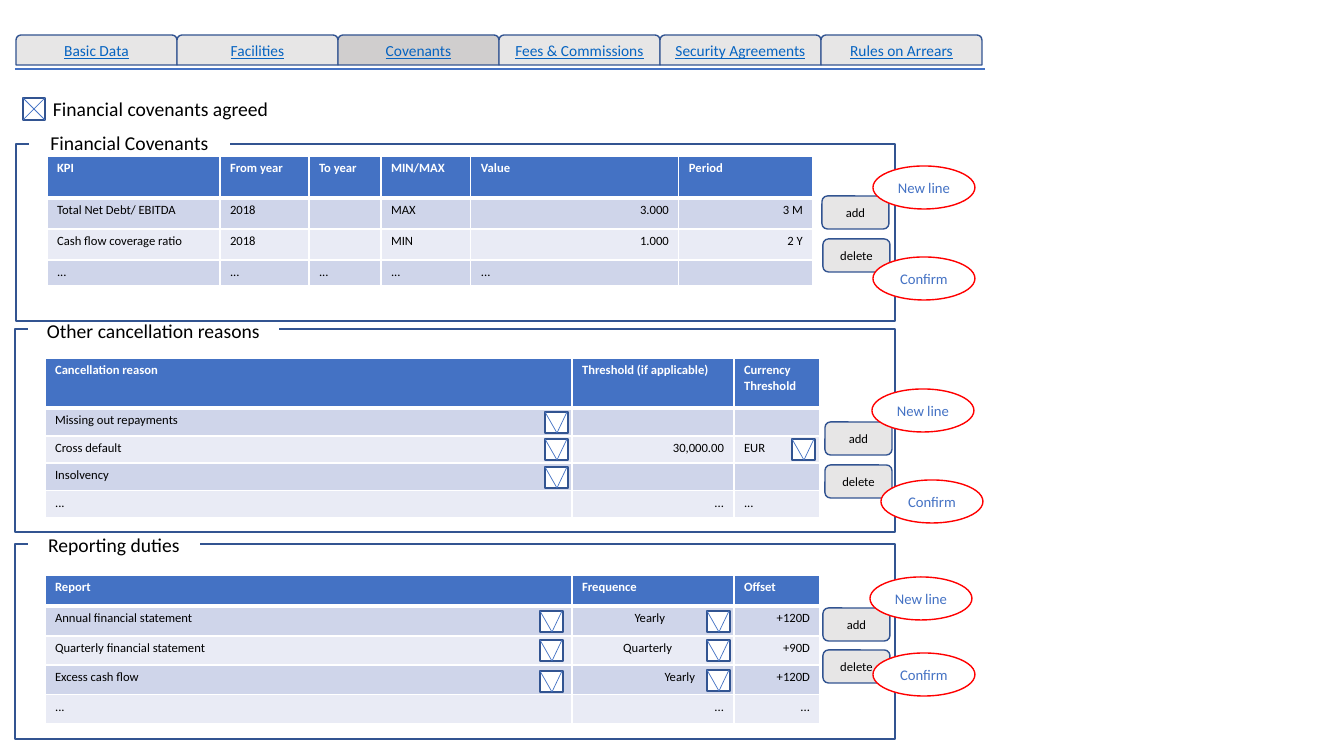
import dataclasses

import lxml.etree
import pptx
import pptx.dml.color
import pptx.enum.shapes
import pptx.enum.text
import pptx.oxml.ns
import pptx.util

PIXEL = 914400 / 100.8
SHAPE = pptx.enum.shapes.MSO_SHAPE
ALIGN = pptx.enum.text.PP_ALIGN
MIDDLE = pptx.enum.text.MSO_ANCHOR.MIDDLE


@dataclasses.dataclass(frozen=True)
class Theme:
    font: str = "Calibri"
    white: str = "FFFFFF"
    black: str = "000000"
    outline: str = "325491"
    accent: str = "4472C4"
    link: str = "0563C1"
    alert: str = "FF0000"
    grey: str = "E7E6E6"
    active: str = "D0CECE"
    bands: tuple = ("CFD5EA", "E9EBF5")
    title: float = 14
    tab: float = 11
    callout: float = 10.5
    small: float = 9


THEME = Theme()


def px(*lengths):
    return [round(length * PIXEL) for length in lengths]


def rgb(color):
    return pptx.dml.color.RGBColor.from_string(color)


def write(frame, text, size, color, align=ALIGN.CENTER, **formats):
    paragraph = frame.paragraphs[0]
    paragraph.alignment = align
    run = paragraph.add_run()
    run.text = text
    run.font.color.rgb = rgb(color)
    formats = {"name": THEME.font, "size": pptx.util.Pt(size), **formats}
    for name, value in formats.items():
        setattr(run.font, name, value)


def draw_shape(slide, kind, box, fill=THEME.white, line=THEME.outline):
    shape = slide.shapes.add_shape(kind, *px(*box))
    shape.shadow.inherit = False
    shape.fill.solid()
    shape.fill.fore_color.rgb = rgb(fill)
    shape.line.color.rgb = rgb(line)
    shape.line.width = pptx.util.Pt(1)
    frame = shape.text_frame
    formats = {"word_wrap": True, "vertical_anchor": MIDDLE, "margin_top": 0, "margin_bottom": 0}
    for name, value in formats.items():
        setattr(frame, name, value)
    return shape


def draw_line(slide, start, end, width):
    connector = slide.shapes.add_connector(
        pptx.enum.shapes.MSO_CONNECTOR.STRAIGHT, *px(*start, *end))
    connector.line.color.rgb = rgb(THEME.accent)
    connector.line.width = pptx.util.Pt(width)
    lxml.etree.SubElement(connector._element.spPr, pptx.oxml.ns.qn("a:effectLst"))


def draw_tabs(slide, box, names, active):
    left, top, width, height = box
    step = width / len(names)
    for index, name in enumerate(names):
        fill = THEME.active if name == active else THEME.grey
        tab = draw_shape(slide, SHAPE.ROUND_2_SAME_RECTANGLE,
                         (left + index * step, top, step, height), fill)
        write(tab.text_frame, name, THEME.tab, THEME.link, underline=True)
    rule = top + height + 4
    draw_line(slide, (left - 1, rule), (left + width + 3, rule), 2)


def draw_agreement(slide, box, text):
    left, top, width, height = box
    # Crossed check box
    side = 22
    right, bottom = left + side, top + side
    draw_shape(slide, SHAPE.RECTANGLE, (left, top, side, side))
    draw_line(slide, (left, top), (right, bottom), 0.5)
    draw_line(slide, (right, top), (left, bottom), 0.5)
    # Label
    label = slide.shapes.add_textbox(*px(left + 20, top - 6, width - 20, height))
    label.text_frame.word_wrap = True
    write(label.text_frame, text, THEME.title, THEME.black, ALIGN.LEFT)


def draw_dropdown(slide, left, top):
    draw_shape(slide, SHAPE.RECTANGLE, (left, top, 23, 21))
    for corner in (left, left + 22):
        draw_line(slide, (corner, top), (left + 12, top + 21), 0.5)


def set_borders(cell, widths):
    properties = cell._tc.get_or_add_tcPr()
    for side, width in zip("LRTB", widths):
        line = lxml.etree.SubElement(properties, pptx.oxml.ns.qn(f"a:ln{side}"),
                                     w=str(pptx.util.Pt(width)))
        fill = lxml.etree.SubElement(line, pptx.oxml.ns.qn("a:solidFill"))
        lxml.etree.SubElement(fill, pptx.oxml.ns.qn("a:srgbClr"), val=THEME.white)


def draw_table(slide, left, top, columns, heights, rows, indents):
    box = px(left, top, sum(columns), sum(heights))
    table = slide.shapes.add_table(len(rows), len(columns), *box).table
    table.horz_banding = False
    for column, width in zip(table.columns, px(*columns)):
        column.width = width
    for row, height in zip(table.rows, px(*heights)):
        row.height = height
    for r, texts in enumerate(rows):
        header = r == 0
        for c, text in enumerate(texts):
            cell = table.cell(r, c)
            set_borders(cell, (1, 1, 3 if r == 1 else 1, 3 if header else 1))
            cell.fill.solid()
            cell.fill.fore_color.rgb = rgb(THEME.accent if header else THEME.bands[(r - 1) % 2])
            if (r, c) in indents:
                cell.margin_right = px(indents[r, c])[0]
            if text:
                # A leading ">" marks right alignment
                align = ALIGN.RIGHT if text.startswith(">") else ALIGN.LEFT
                write(cell.text_frame, text.lstrip(">"), THEME.small,
                      THEME.white if header else THEME.black, align, bold=header)
            else:
                ending = cell.text_frame.paragraphs[0]._p.get_or_add_endParaRPr()
                ending.set("sz", str(THEME.small * 100))


def draw_panel(slide, box, caption, caption_box, table, dropdowns, buttons, callouts):
    left, top = box[:2]

    def place(x, y, *size):
        return (left + x, top + y, *size)

    # Frame and caption
    draw_shape(slide, SHAPE.RECTANGLE, box)
    heading = draw_shape(slide, SHAPE.RECTANGLE, place(*caption_box), line=THEME.white)
    write(heading.text_frame, caption, THEME.title, THEME.black)
    # Table with its drop-down markers
    x, y, *content = table
    draw_table(slide, *place(x, y), *content)
    for x, offsets in dropdowns:
        for y in offsets:
            draw_dropdown(slide, *place(x, y))
    # Buttons and their callouts
    for text, position in zip(("add", "delete"), buttons):
        button = draw_shape(slide, SHAPE.ROUNDED_RECTANGLE, place(*position, 67, 33), THEME.grey)
        write(button.text_frame, text, THEME.small, THEME.black)
    for text, position in zip(("New line", "Confirm"), callouts):
        callout = draw_shape(slide, SHAPE.OVAL, place(*position, 102, 43), line=THEME.alert)
        write(callout.text_frame, text, THEME.callout, THEME.accent)


COVENANTS = [
    ["KPI", "From year", "To year", "MIN/MAX", "Value", "Period"],
    ["Total Net Debt/ EBITDA", "2018", "", "MAX", ">3.000", ">3 M"],
    ["Cash flow coverage ratio", "2018", "", "MIN", ">1.000", ">2 Y"],
    ["...", "...", "...", "...", "...", ""],
]
REASONS = [
    ["Cancellation reason", "Threshold (if applicable)", "Currency Threshold"],
    ["Missing out repayments", "", ""],
    ["Cross default", ">30,000.00", "EUR"],
    ["Insolvency", "", ""],
    ["...", ">...", "..."],
]
REPORTS = [
    ["Report", "Frequence", "Offset"],
    ["Annual financial statement", ">Yearly", ">+120D"],
    ["Quarterly financial statement", ">Quarterly", ">+90D"],
    ["Excess cash flow", ">Yearly", ">+120D"],
    ["...", ">...", ">..."],
]
WIDE_COLUMNS = (527, 162, 86)

presentation = pptx.Presentation()
presentation.slide_width, presentation.slide_height = px(1344, 756)
slide = presentation.slides.add_slide(presentation.slide_layouts[6])

draw_tabs(slide, (16, 35, 966, 30),
          ["Basic Data", "Facilities", "Covenants", "Fees & Commissions",
           "Security Agreements", "Rules on Arrears"], "Covenants")
draw_agreement(slide, (23, 98, 261, 34), "Financial covenants agreed")
draw_panel(slide, (15, 329, 880, 203), "Other cancellation reasons", (14, -9, 249, 21),
           (30, 29, WIDE_COLUMNS, (50, 28, 27, 28, 27), REASONS, {}),
           [(530, (83, 110, 138)), (777, (110,))],
           [(810, 93), (810, 136)], [(857, 60), (866, 151)])
draw_panel(slide, (16, 144, 879, 177), "Financial Covenants", (14, -9, 199, 15),
           (31, 12, (173, 89, 72, 90, 208, 134), (42, 31, 31, 24), COVENANTS, {}),
           [], [(806, 52), (807, 95)], [(857, 22), (857, 113)])
draw_panel(slide, (15, 544, 880, 195), "Reporting duties", (14, -5, 170, 11),
           (30, 31, WIDE_COLUMNS, (31, 30, 29, 30, 29), REPORTS,
            {(1, 1): 69, (2, 1): 62, (3, 1): 39}),
           [(692, (67, 96, 126)), (525, (67, 96, 127))],
           [(808, 64), (808, 106)], [(855, 33), (858, 109)])

presentation.save("out.pptx")
